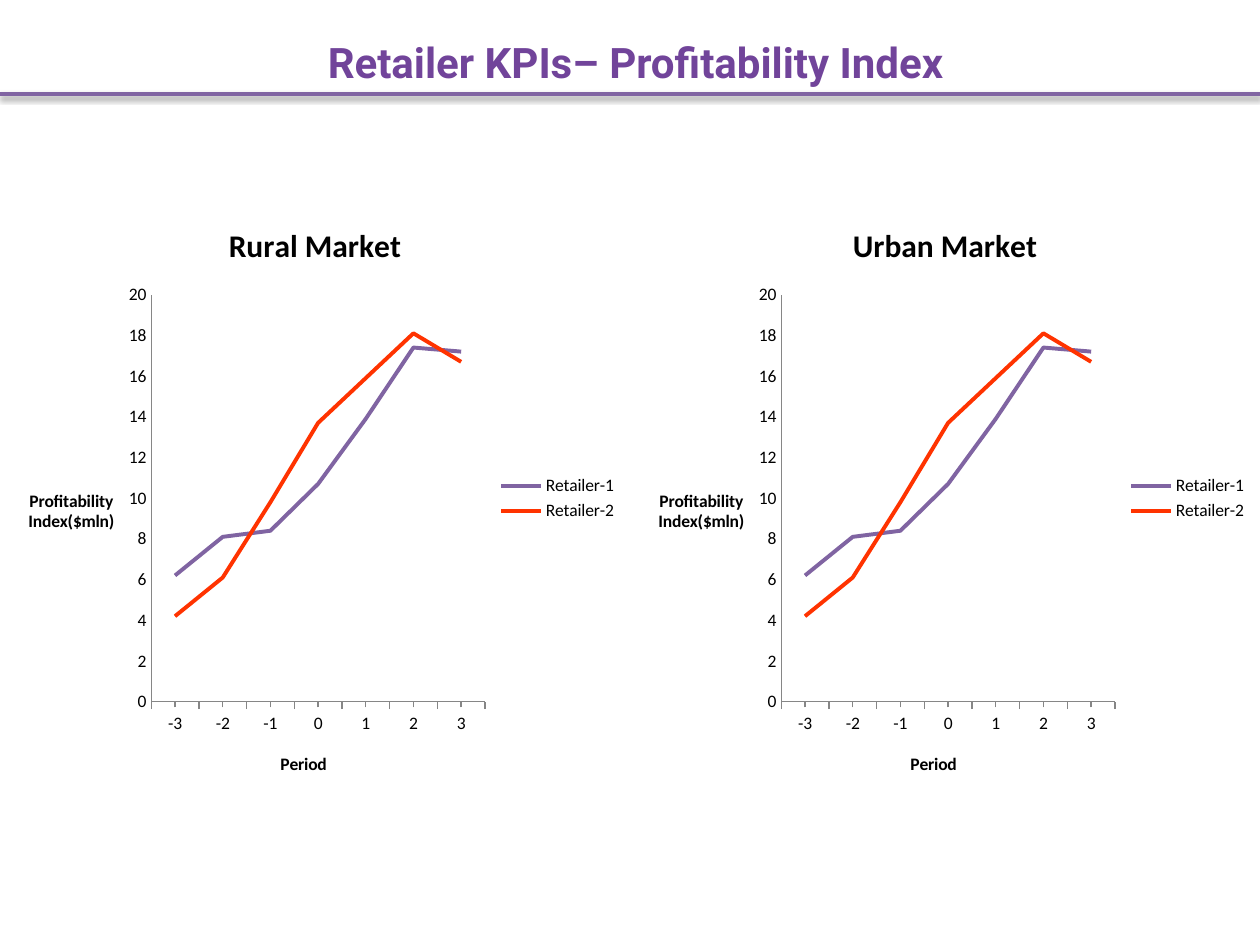
from lxml import etree
from pptx import Presentation
from pptx.chart.data import CategoryChartData
from pptx.dml.color import RGBColor
from pptx.enum.chart import XL_CHART_TYPE, XL_LEGEND_POSITION, XL_TICK_MARK
from pptx.enum.text import MSO_ANCHOR, PP_ALIGN
from pptx.oxml import parse_xml
from pptx.oxml.ns import nsdecls, qn
from pptx.util import Cm, Pt

PURPLE, ORANGE, BLACK, GRAY = "8064A2", "FF3300", "000000", "868686"
PERIODS = ["-3", "-2", "-1", "0", "1", "2", "3"]
RETAILERS = [
    ("Retailer-1", PURPLE, (6.2, 8.1, 8.4, 10.7, 13.9, 17.4, 17.2)),
    ("Retailer-2", ORANGE, (4.2, 6.1, 9.8, 13.7, 15.9, 18.1, 16.7)),
]
CHART_WIDTH, CHART_HEIGHT = 12.7, 12.07


def color(hex_code):
    return RGBColor.from_string(hex_code)


def write(frame, text, size=10, font="Calibri", fill=BLACK, bold=True, align=PP_ALIGN.CENTER):
    paragraph = frame.paragraphs[0]
    paragraph.alignment = align
    run = paragraph.add_run()
    run.text = text
    run.font.size, run.font.name, run.font.bold = Pt(size), font, bold
    run.font.color.rgb = color(fill)


def place(element, x, y, w=None, h=None):
    """Set the manual layout of a chart part, in fractions of the chart."""
    for old in element.findall(qn("c:layout")):
        element.remove(old)
    parts = [("xMode", "edge"), ("yMode", "edge"), ("x", x), ("y", y)]
    if w is not None:
        parts = [("layoutTarget", "inner")] + parts + [("w", w), ("h", h)]
    layout = etree.Element(qn("c:layout"))
    manual = etree.SubElement(layout, qn("c:manualLayout"))
    for tag, value in parts:
        etree.SubElement(manual, qn(f"c:{tag}")).set("val", str(value))
    text = element.find(qn("c:tx"))
    if text is None:
        element.insert(0, layout)
    else:
        text.addnext(layout)


def add_heading(slide, text):
    heading = slide.shapes.add_textbox(Cm(0.43), Cm(0.13), Cm(24.77), Cm(2.21))
    heading.text_frame.word_wrap = True
    heading.text_frame.vertical_anchor = MSO_ANCHOR.MIDDLE
    write(heading.text_frame, text, size=24, font="Roboto", fill="71449A")


def add_rule(slide, y):
    rule = slide.shapes.add_connector(1, Cm(0), Cm(y), Cm(25.4), Cm(y))
    rule.line.color.rgb = color(PURPLE)
    rule.line.width = Pt(2)
    rule._element.spPr.append(parse_xml(
        f'<a:effectLst {nsdecls("a")}><a:outerShdw blurRad="{Pt(3.1)}" dist="{Pt(1.6)}" '
        'dir="5400000" rotWithShape="0"><a:srgbClr val="000000"><a:alpha val="38000"/>'
        '</a:srgbClr></a:outerShdw></a:effectLst>'))


def style_axis(axis, title, x, y):
    axis.has_major_gridlines = False
    axis.major_tick_mark = axis.minor_tick_mark = XL_TICK_MARK.NONE
    axis.format.line.color.rgb = color(GRAY)
    axis.format.line.width = Pt(0.75)
    axis.has_title = True
    frame = axis.axis_title.text_frame
    write(frame, title)
    frame._txBody.bodyPr.set("rot", "0")
    frame._txBody.bodyPr.set("vert", "horz")
    place(axis.axis_title._element, x, y)


def add_market_chart(slide, market, left):
    data = CategoryChartData()
    data.categories = PERIODS
    for name, _, values in RETAILERS:
        data.add_series(name, values)
    chart = slide.shapes.add_chart(XL_CHART_TYPE.LINE, Cm(left), Cm(4.01), Cm(CHART_WIDTH),
                                   Cm(CHART_HEIGHT), data).chart
    chart.font.size, chart.font.name = Pt(10), "Calibri"
    chart.font.color.rgb = color(BLACK)

    # Title and legend
    chart.has_title = True
    write(chart.chart_title.text_frame, market, size=18)
    chart.has_legend = True
    chart.legend.position = XL_LEGEND_POSITION.RIGHT
    chart.legend.include_in_layout = False

    # Axes and plot area
    style_axis(chart.category_axis, "Period", 0.44, 0.92)
    chart.category_axis.major_tick_mark = XL_TICK_MARK.OUTSIDE
    chart.category_axis.minor_tick_mark = XL_TICK_MARK.OUTSIDE
    style_axis(chart.value_axis, "Profitability Index($mln)", 0.04, 0.48)
    chart.value_axis.minimum_scale, chart.value_axis.maximum_scale = 0, 20
    chart.value_axis.major_unit = 2
    place(chart._chartSpace.chart.plotArea, 0.24, 0.16, 0.53, 0.68)

    # Retailer lines
    chart.plots[0].vary_by_categories = False
    for series, (_, hex_code, _) in zip(chart.plots[0].series, RETAILERS):
        series.smooth = False
        series.format.line.color.rgb = color(hex_code)
        series.format.line.width = Pt(2.25)


def main():
    deck = Presentation()
    deck.slide_width, deck.slide_height = Cm(25.4), Cm(19.05)
    slide = deck.slides.add_slide(deck.slide_layouts[6])
    add_rule(slide, 1.9)
    add_heading(slide, "Retailer KPIs– Profitability Index")
    for column, market in enumerate(("Rural Market", "Urban Market")):
        add_market_chart(slide, market, column * CHART_WIDTH)
    deck.save("out.pptx")


if __name__ == "__main__":
    main()
